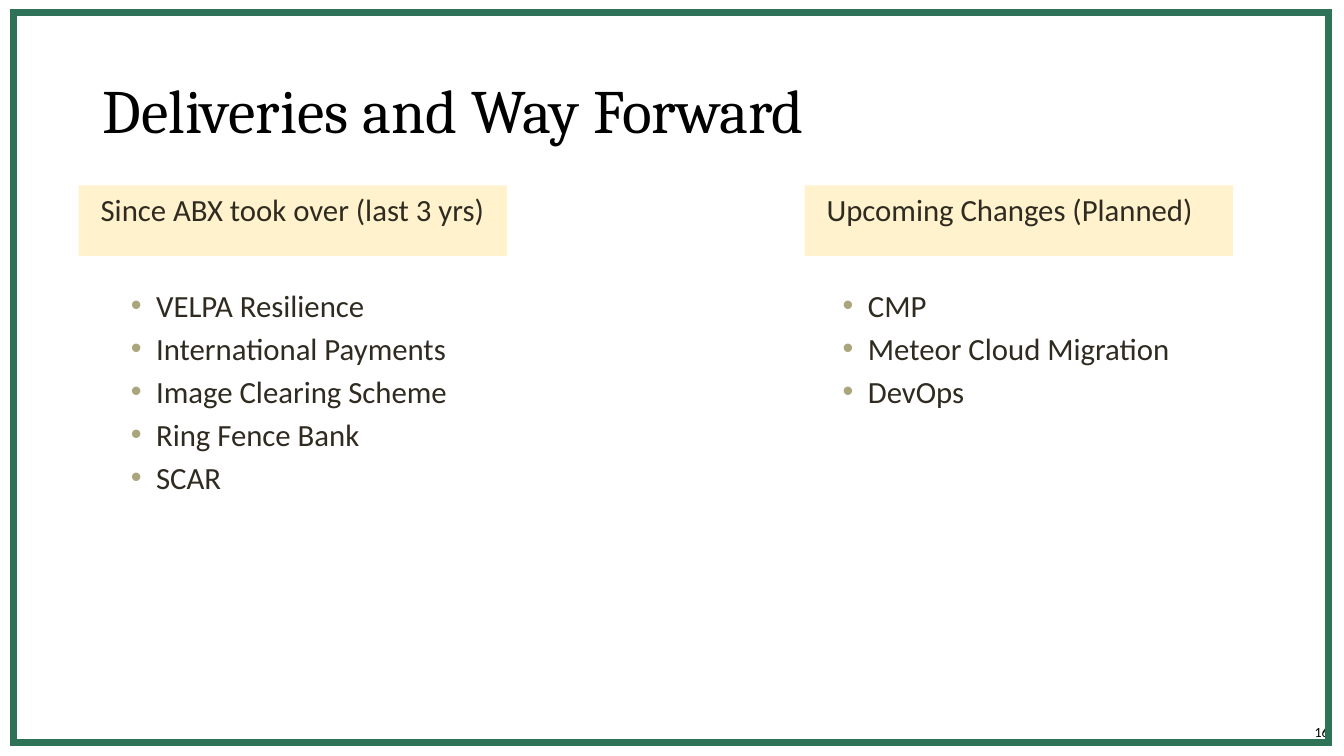
from lxml import etree
from pptx import Presentation
from pptx.dml.color import RGBColor
from pptx.enum.shapes import MSO_SHAPE
from pptx.enum.text import MSO_ANCHOR, PP_ALIGN
from pptx.oxml.ns import qn
from pptx.util import Inches, Pt

RECTANGLE = MSO_SHAPE.RECTANGLE
TOP, MIDDLE = MSO_ANCHOR.TOP, MSO_ANCHOR.MIDDLE
LEFT = PP_ALIGN.LEFT

BLACK = RGBColor(0x00, 0x00, 0x00)
BROWN = RGBColor(0x2F, 0x2B, 0x20)
GREEN = RGBColor(0x2E, 0x73, 0x57)
CREAM = RGBColor(0xFF, 0xF2, 0xCC)
BULLET_COLOR = RGBColor(0xA9, 0xA5, 0x7C)

COLUMN_WIDTH = 4.25
HEADING_HEIGHT = 0.7
LIST_HEIGHT = 3.51

DELIVERIES = ["VELPA Resilience", "International Payments", "Image Clearing Scheme",
              "Ring Fence Bank", "SCAR"]
UPCOMING = ["CMP", "Meteor Cloud Migration", "DevOps"]


def set_indent(paragraph, margin, first_line=0, bullet=None):
    """Set a paragraph's indents in inches and its optional bullet."""
    properties = paragraph._p.get_or_add_pPr()
    properties.set("marL", str(Inches(margin)))
    properties.set("indent", str(Inches(first_line)))
    if bullet:
        color = etree.SubElement(properties, qn("a:buClr"))
        etree.SubElement(color, qn("a:srgbClr"), val=str(BULLET_COLOR))
        etree.SubElement(properties, qn("a:buFont"), typeface="Arial")
        etree.SubElement(properties, qn("a:buChar"), char=bullet)


def write_text(shape, lines, size=22, font="Calibri", color=BROWN, anchor=TOP,
               space_before=0, line_spacing=1.0, margin=0, first_line=0, bullet=None):
    """Fill a shape with one formatted paragraph per line."""
    frame = shape.text_frame
    frame.word_wrap = True
    frame.vertical_anchor = anchor
    for index, line in enumerate(lines):
        paragraph = frame.add_paragraph() if index else frame.paragraphs[0]
        paragraph.alignment = LEFT
        paragraph.line_spacing = line_spacing
        paragraph.space_before = Pt(space_before)
        set_indent(paragraph, margin, first_line, bullet)
        run = paragraph.add_run()
        run.text = line
        run.font.size = Pt(size)
        run.font.name = font
        run.font.color.rgb = color


def add_text(slide, left, top, width, height, lines, **text_format):
    """Add a text box with formatted lines."""
    box = slide.shapes.add_textbox(Inches(left), Inches(top), Inches(width), Inches(height))
    write_text(box, lines, **text_format)


def add_rectangle(slide, left, top, width, height):
    """Add a rectangle without shadow, fill or line."""
    shape = slide.shapes.add_shape(RECTANGLE, Inches(left), Inches(top),
                                   Inches(width), Inches(height))
    shape.shadow.inherit = False
    shape.fill.background()
    shape.line.fill.background()
    return shape


def add_frame(slide, left, top, width, height):
    """Add the slide number and the square-cornered green border over it."""
    add_text(slide, left + width - 0.24, top + height - 0.24, 0.5, 0.24, ["16"],
             size=10, color=BLACK)
    border = add_rectangle(slide, left, top, width, height)
    border.line.color.rgb = GREEN
    border.line.width = Pt(5)
    outline = border._element.spPr.find(qn("a:ln"))
    etree.SubElement(outline, qn("a:miter"), lim="800000")


def add_column(slide, left, top, heading, items, list_offset):
    """Add a shaded heading with a bulleted list below it."""
    band = add_rectangle(slide, left, top, COLUMN_WIDTH, HEADING_HEIGHT)
    band.fill.solid()
    band.fill.fore_color.rgb = CREAM
    write_text(band, [heading], space_before=4.4, margin=0.12)
    add_text(slide, left + list_offset, top + HEADING_HEIGHT + 0.25, COLUMN_WIDTH, LIST_HEIGHT,
             items, space_before=4.4, margin=0.38, first_line=-0.25, bullet="•")


def main():
    """Build and save the slide."""
    presentation = Presentation()
    presentation.slide_width = Inches(13.33)
    presentation.slide_height = Inches(7.5)
    slide = presentation.slides.add_slide(presentation.slide_layouts[6])
    add_frame(slide, 0.13, 0.12, 13.05, 7.25)
    add_column(slide, 0.78, 1.84, "Since ABX took over (last 3 yrs)", DELIVERIES, 0.29)
    add_column(slide, 7.98, 1.84, "Upcoming Changes (Planned)", UPCOMING, 0.15)
    add_text(slide, 0.92, 0.4, 11.5, 1.45, ["Deliveries and Way Forward"], size=44,
             font="Cambria", color=BLACK, anchor=MIDDLE, line_spacing=0.9)
    presentation.save("out.pptx")


if __name__ == "__main__":
    main()
